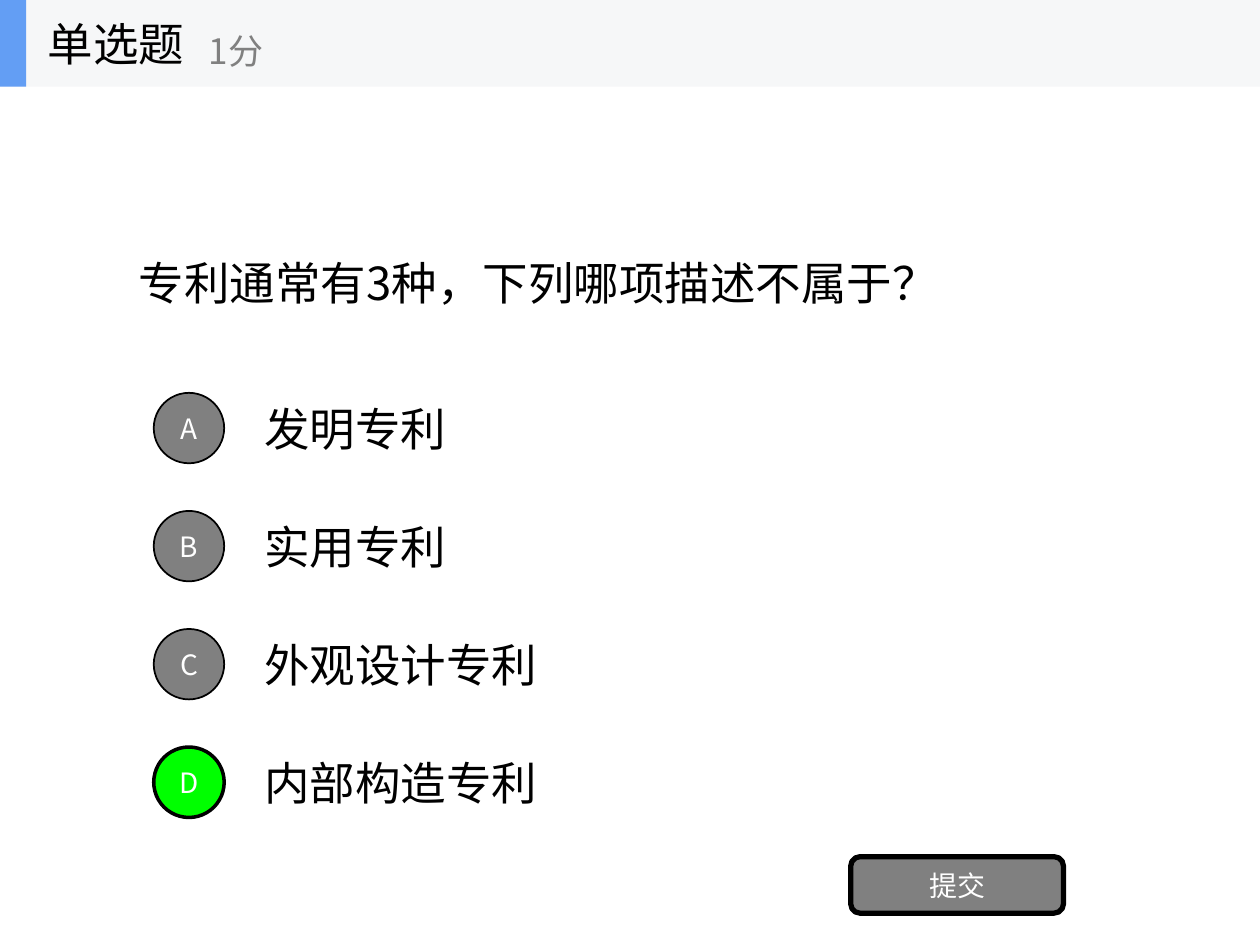
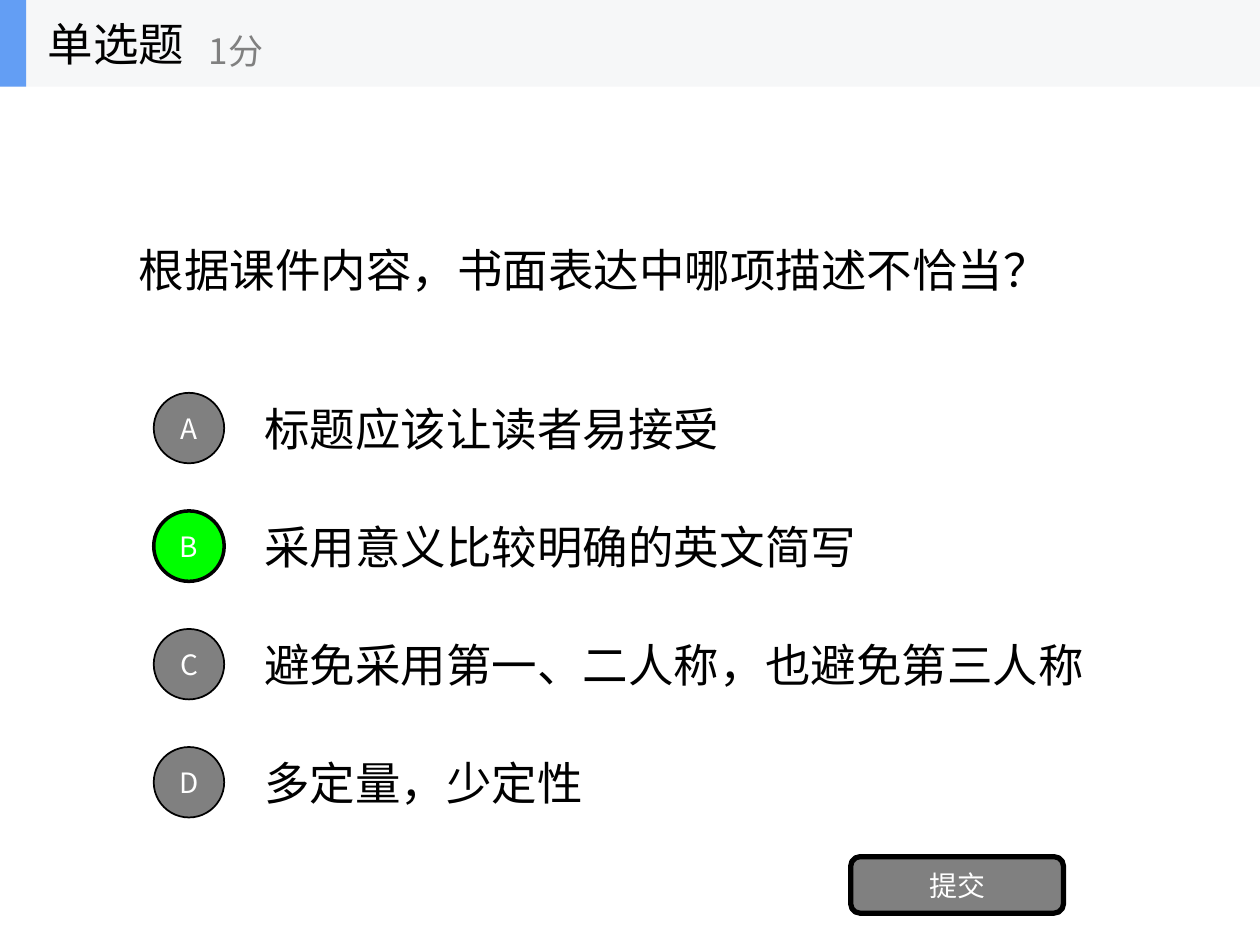
"""Build two single-choice quiz slides."""
from lxml import etree
from pptx import Presentation
from pptx import util as u
from pptx.dml import color
from pptx.enum import shapes, text
from pptx.oxml import ns

QUIZ = [
    {"ask": "专利通常有3种，下列哪项描述不属于？", "high": 4.06, "key": "D",
     "picks": ["发明专利", "实用专利", "外观设计专利", "内部构造专利"]},
    {"ask": "根据课件内容，书面表达中哪项描述不恰当？", "high": 4.57, "key": "B",
     "picks": ["标题应该让读者易接受", "采用意义比较明确的英文简写",
               "避免采用第一、二人称，也避免第三人称", "多定量，少定性"]},
]
KIND, SCORE, SEND = "单选题", "1分", "提交"

FONT = "Noto Sans CJK SC"
HUE = {"ink": "000000", "pale": "FFFFFF", "gray": "808080",
       "right": "00FF00", "band": "F6F7F8", "mark": "639EF4"}
WIDE, TALL = 25.4, 19.05
HEAD = 1.75
ASK_END = 7.72
ROW_TOP, ROW_STEP, ROW_HIGH = 7.74, 2.38, 1.78
DOT = 1.42
OVAL = shapes.MSO_SHAPE.OVAL
RECT = shapes.MSO_SHAPE.RECTANGLE
ROUND = shapes.MSO_SHAPE.ROUNDED_RECTANGLE


def rgb(name):
    return color.RGBColor.from_string(HUE[name])


def put(shape, words, size=26, hue="ink", mid=False):
    """Write formatted words into a shape."""
    frame = shape.text_frame
    frame.auto_size = text.MSO_AUTO_SIZE.NONE
    frame.word_wrap = not mid
    frame.vertical_anchor = text.MSO_ANCHOR.MIDDLE
    para = frame.paragraphs[0]
    para.alignment = text.PP_ALIGN.CENTER if mid else text.PP_ALIGN.LEFT
    run = para.add_run()
    run.text = words
    run.font.size = u.Pt(size)
    run.font.name = FONT
    run.font.color.rgb = rgb(hue)
    east = etree.SubElement(run.font._element, ns.qn("a:ea"))
    east.set("typeface", FONT)


def label(host, box, words, **style):
    put(host.add_textbox(*map(u.Cm, box)), words, **style)


def form(host, kind, box, fill, edge=0):
    """Add a flat filled shape, outlined when edge is set."""
    shape = host.add_shape(kind, *map(u.Cm, box))
    shape.shadow.inherit = False
    shape.fill.solid()
    shape.fill.fore_color.rgb = rgb(fill)
    if edge:
        shape.line.color.rgb = rgb("ink")
        shape.line.width = u.Pt(edge)
    else:
        shape.line.fill.background()
    return shape


def header(slide):
    group = slide.shapes.add_group_shape().shapes
    form(group, RECT, (0, 0, WIDE, HEAD), "band")
    form(group, RECT, (0, 0, 0.53, HEAD), "mark")
    label(group, (0.71, 0, 5.28, HEAD), KIND)
    label(group, (3.96, 0.3, 6.35, DOT), SCORE, size=20, hue="gray")


def build(deck, item):
    slide = deck.slides.add_slide(deck.slide_layouts[5])
    title, parts = slide.shapes.title, slide.shapes
    title.left, title.top = u.Cm(2.54), u.Cm(ASK_END - item["high"])
    title.width, title.height = u.Cm(20.32), u.Cm(item["high"])
    put(title, item["ask"])

    tops = [ROW_TOP + ROW_STEP * row for row in range(len(item["picks"]))]
    for top, pick in zip(tops, item["picks"]):
        label(parts, (5.08, top, 17.78, ROW_HIGH), pick)
    for top, mark in zip(tops, "ABCD"):
        fill, edge = ("right", 2) if mark == item["key"] else ("gray", 1)
        box = (3.1, top + (ROW_HIGH - DOT) / 2, DOT, DOT)
        put(form(parts, OVAL, box, fill, edge), mark, size=16, hue="pale", mid=True)

    send = form(parts, ROUND, (17.15, 17.27, 4.29, 1.14), "gray", 3)
    put(send, SEND, size=16, hue="pale", mid=True)
    header(slide)


def main():
    deck = Presentation()
    deck.slide_width, deck.slide_height = u.Cm(WIDE), u.Cm(TALL)
    for item in QUIZ:
        build(deck, item)
    deck.save("out.pptx")


if __name__ == "__main__":
    main()
